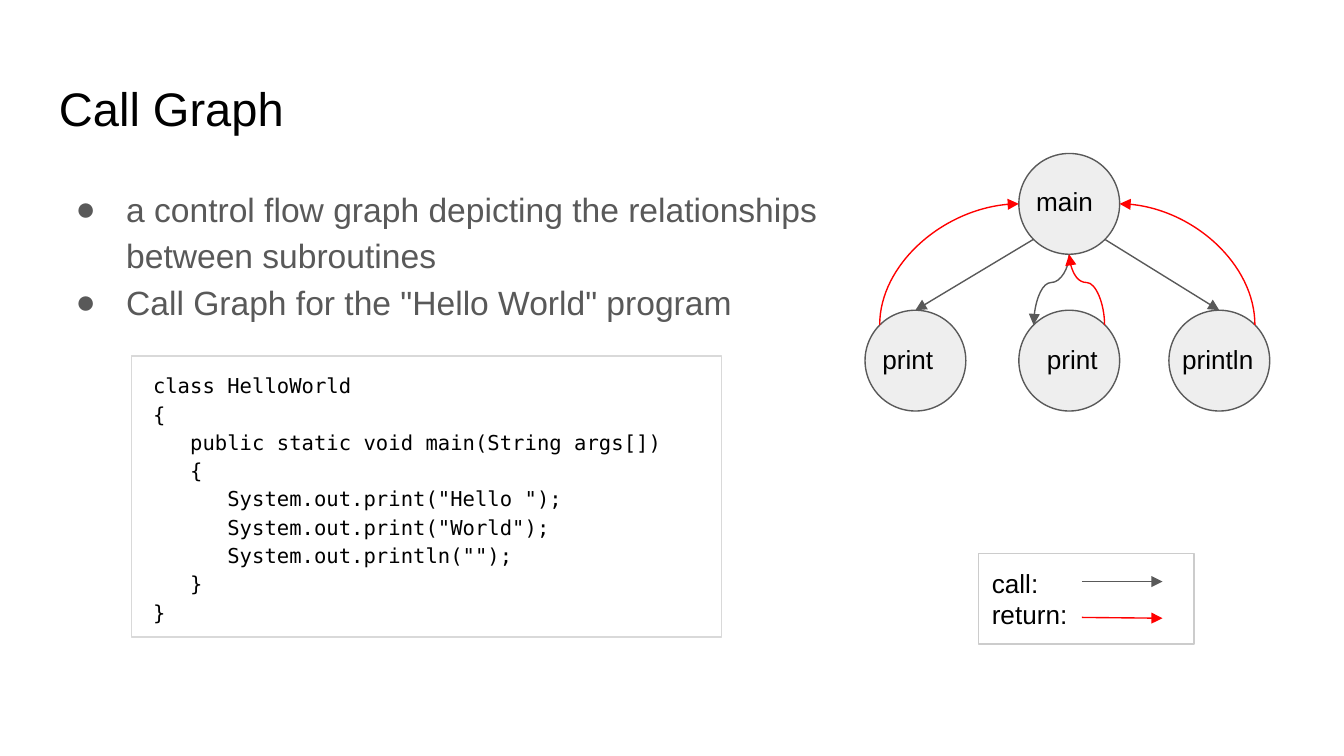
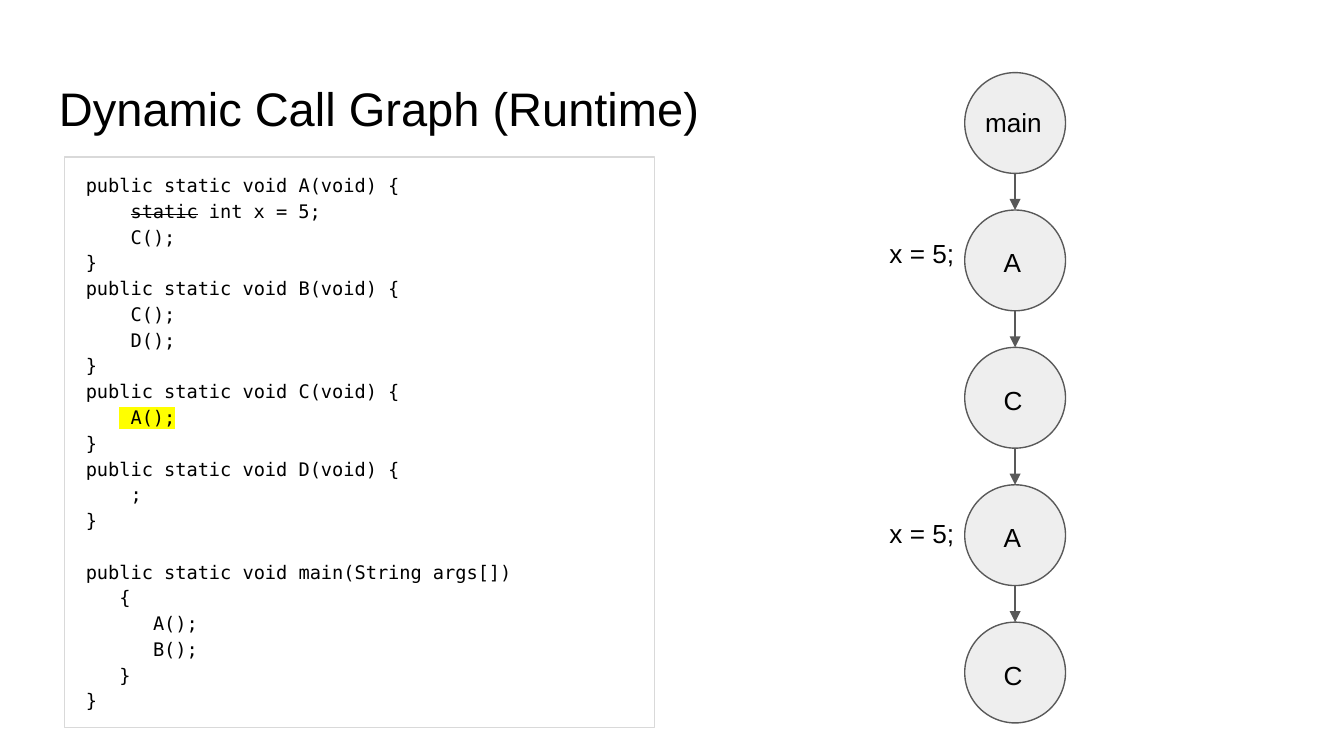
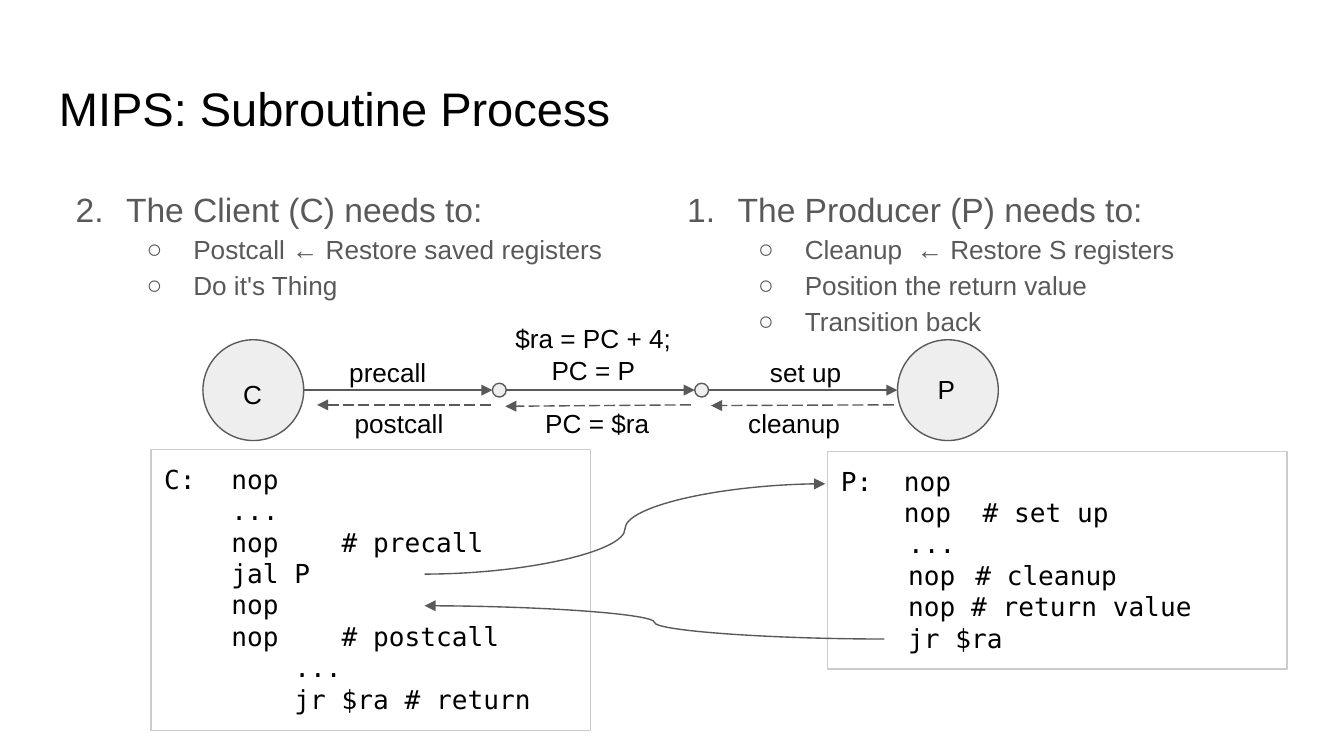
from dataclasses import dataclass

from lxml.etree import SubElement
from pptx import Presentation
from pptx.dml.color import RGBColor
from pptx.enum.dml import MSO_LINE
from pptx.enum.shapes import MSO_CONNECTOR, MSO_SHAPE
from pptx.enum.text import MSO_ANCHOR, PP_ALIGN
from pptx.oxml.ns import qn
from pptx.util import Pt


@dataclass(frozen=True)
class Theme:
    ink: str = "000000"
    muted: str = "595959"
    node: str = "EEEEEE"
    returning: str = "FF0000"
    code_border: str = "D9D9D9"
    box_border: str = "CCCCCC"
    marker: str = "FFFF00"
    sans: str = "Arial"
    mono: str = "DejaVu Sans Mono"
    title_size: float = 25.2
    body_size: float = 18
    label_size: float = 14
    line_width: float = 0.75
    code_spacing: float = 1.15
    code_margin: float = 4.3
    inset: float = 7.2
    node_size: float = 54


THEME = Theme()


def rgb(value):
    return RGBColor.from_string(value)


def add_run(paragraph, text, size, font, color, strike=False, highlight=None):
    run = paragraph.add_run()
    run.text = text
    run.font.size = Pt(size)
    run.font.name = font
    run.font.color.rgb = rgb(color)
    properties = run.font._element
    if strike:
        properties.set("strike", "sngStrike")
    if highlight:
        mark = properties.makeelement(qn("a:highlight"), {})
        SubElement(mark, qn("a:srgbClr"), val=highlight)
        properties.find(qn("a:latin")).addprevious(mark)


def write(frame, text, new=True, size=THEME.label_size, font=THEME.sans,
          color=THEME.ink, align=PP_ALIGN.LEFT, spacing=None, before=0,
          margin=0, indent=0, level=0, bullet=None, start=None):
    paragraph = frame.add_paragraph() if new else frame.paragraphs[0]
    paragraph.alignment = align
    paragraph.level = level
    paragraph.space_before = Pt(before)
    if spacing:
        paragraph.line_spacing = spacing
    properties = paragraph._p.get_or_add_pPr()
    properties.set("marL", str(Pt(margin)))
    properties.set("indent", str(Pt(indent)))
    if bullet or start:
        SubElement(SubElement(properties, qn("a:buClr")), qn("a:srgbClr"), val=color)
        SubElement(properties, qn("a:buFont"), typeface=font)
        if start:
            SubElement(properties, qn("a:buAutoNum"), type="arabicPeriod", startAt=str(start))
        else:
            SubElement(properties, qn("a:buChar"), char=bullet)
    pieces = [(text, {})] if isinstance(text, str) else text
    for piece, style in pieces:
        for index, line in enumerate(piece.split("\n")):
            if index:
                paragraph.add_line_break()
            add_run(paragraph, line, size, font, color, **style)


def prepare(frame, anchor=MSO_ANCHOR.TOP):
    frame.word_wrap = True
    frame.vertical_anchor = anchor
    frame.margin_left = frame.margin_right = Pt(THEME.inset)
    frame.margin_top = frame.margin_bottom = Pt(THEME.inset)
    return frame


def text_area(slide, left, top, width, height, anchor=MSO_ANCHOR.TOP):
    area = slide.shapes.add_textbox(Pt(left), Pt(top), Pt(width), Pt(height))
    return prepare(area.text_frame, anchor)


def label(slide, text, left, top, width=54, height=31.5, align=PP_ALIGN.LEFT):
    write(text_area(slide, left, top, width, height), text, new=False, align=align)


def title(slide, text):
    area = text_area(slide, 24.5, 35, 671, 45.1, MSO_ANCHOR.MIDDLE)
    write(area, text, new=False, size=THEME.title_size)


def bullets(slide, left, width, items):
    area = text_area(slide, left, 90.7, width, 269)
    for index, (text, level, marker) in enumerate(items):
        write(area, text, new=index > 0, color=THEME.muted, spacing=1.15, level=level,
              size=THEME.label_size if level else THEME.body_size,
              margin=72 if level else 36, indent=-25 if level else -27, **marker)


def outlined(slide, kind, left, top, width, height, border, fill=None):
    outline = slide.shapes.add_shape(kind, Pt(left), Pt(top), Pt(width), Pt(height))
    outline.shadow.inherit = False
    outline.line.color.rgb = rgb(border)
    outline.line.width = Pt(THEME.line_width)
    if fill:
        outline.fill.solid()
        outline.fill.fore_color.rgb = rgb(fill)
    else:
        outline.fill.background()
    return outline


def box(slide, left, top, width, height, lines, border=THEME.box_border, **style):
    panel = outlined(slide, MSO_SHAPE.RECTANGLE, left, top, width, height, border)
    frame = prepare(panel.text_frame)
    for index, (text, extra) in enumerate(lines):
        write(frame, text, new=index > 0, **{**style, **extra})


def code_box(slide, left, top, height, lines, size):
    box(slide, left, top, 316, height, lines, border=THEME.code_border, size=size,
        font=THEME.mono, spacing=THEME.code_spacing, margin=THEME.code_margin)


def circle(slide, left, top, size):
    outlined(slide, MSO_SHAPE.OVAL, left, top, size, size, THEME.muted, THEME.node)


def node(slide, name, left, top, shift, drop):
    circle(slide, left, top, THEME.node_size)
    label(slide, name, left + shift, top + drop)


def arrow(slide, start, end, color=THEME.muted, kind=MSO_CONNECTOR.STRAIGHT, dashed=False):
    link = slide.shapes.add_connector(kind, *(Pt(v) for v in (*start, *end)))
    link.line.color.rgb = rgb(color)
    link.line.width = Pt(THEME.line_width)
    if dashed:
        link.line.dash_style = MSO_LINE.LONG_DASH
    SubElement(link.line._get_or_add_ln(), qn("a:tailEnd"), type="triangle")
    SubElement(link._element.spPr, qn("a:effectLst"))
    return link


def upright_curve(slide, start, end, color, bend=None):
    dx, dy = end[0] - start[0], end[1] - start[1]
    center_x, center_y = start[0] + dx / 2, start[1] + dy / 2
    near, far = center_x - abs(dy) / 2, center_x + abs(dy) / 2
    if (dy < 0) != (dx > 0):
        near, far = far, near
    link = arrow(slide, (near, center_y - abs(dx) / 2), (far, center_y + abs(dx) / 2),
                 color, MSO_CONNECTOR.CURVE)
    properties = link._element.spPr
    turn = 270 if dx > 0 else 90
    properties.find(qn("a:xfrm")).set("rot", str(turn * 60000))
    geometry = properties.find(qn("a:prstGeom"))
    if bend is None:
        geometry.set("prst", "curvedConnector2")
    else:
        guides = geometry.find(qn("a:avLst"))
        if guides is None:
            guides = SubElement(geometry, qn("a:avLst"))
        SubElement(guides, qn("a:gd"), name="adj1", fmla=f"val {round(bend * 100000)}")


def plain(*lines):
    return [(line, {}) for line in lines]


def call_graph(slide):
    title(slide, "Call Graph")
    bullets(slide, 24.5, 671, [
        ("a control flow graph depicting the relationships \nbetween subroutines",
         0, {"bullet": "●"}),
        ('Call Graph for the "Hello World" program', 0, {"bullet": "●"}),
    ])
    node(slide, "main", 545.8, 82.2, 2.2, 10)
    for name, left, shift in (("print", 463.4, 2.2), ("print", 545.8, 7.9),
                              ("println", 626.2, 0)):
        node(slide, name, left, 166.2, shift, 10.8)

    arrow(slide, (553.7, 128.2), (490.4, 166.2))
    arrow(slide, (591.8, 128.2), (653.2, 166.2))
    upright_curve(slide, (572.8, 136.2), (553.7, 174.1), THEME.muted, bend=0.4)
    upright_curve(slide, (591.8, 174.1), (572.8, 136.2), THEME.returning, bend=0.6)
    upright_curve(slide, (471.3, 174.1), (545.8, 109.2), THEME.returning)
    upright_curve(slide, (672.3, 174.1), (599.8, 109.2), THEME.returning)

    code_box(slide, 70.6, 190.8, 150.5, plain(
        "class HelloWorld",
        "{",
        "   public static void main(String args[])",
        "   {",
        '      System.out.print("Hello ");',
        '      System.out.print("World");\n      System.out.println("");',
        "   }",
        "}"), size=11)

    box(slide, 524.2, 296.6, 115.5, 48.5, plain("call:", "return:"))
    arrow(slide, (579.6, 311.6), (622.8, 311.6))
    arrow(slide, (579.6, 330.8), (622.8, 331.2), THEME.returning)


def dynamic_call_graph(slide):
    title(slide, "Dynamic Call Graph (Runtime)")
    code_box(slide, 34.6, 84.2, 305.5, [
        *plain("public static void A(void) {"),
        ([("    ", {}), ("static", {"strike": True}), (" int x = 5;", {})], {}),
        *plain("    C();", "}",
               "public static void B(void) {", "    C();", "    D();", "}",
               "public static void C(void) {"),
        ([("   ", {}), (" A();", {"highlight": THEME.marker})], {}),
        *plain("}", "public static void D(void) {", "    ;", "}"),
        ("public static void main(String args[])", {"before": 13.8}),
        *plain("   {", "      A();", "      B();", "   }", "}"),
    ], size=10)

    left, first, step = 516.8, 38.9, 73.6
    for index, name in enumerate(("main", "A", "C", "A", "C")):
        top = first + index * step
        shift, drop = (3.8, 10.8) if name == "main" else (13.7, 12.5)
        node(slide, name, left, top, shift, drop)
        if index:
            middle = left + THEME.node_size / 2
            arrow(slide, (middle, top - step + THEME.node_size), (middle, top))
    for top in (120.2, 270):
        label(slide, "x = 5;", 469.4, top, width=51)


def subroutine_process(slide):
    title(slide, "MIPS: Subroutine Process")
    bullets(slide, 352.1, 341.3, [
        ("The Producer (P) needs to:", 0, {"start": 1}),
        ("Cleanup  ← Restore S registers", 1, {"bullet": "○"}),
        ("Position the return value", 1, {"bullet": "○"}),
        ("Transition back", 1, {"bullet": "○"}),
    ])
    bullets(slide, 24.5, 335.5, [
        ("The Client (C) needs to:", 0, {"start": 2}),
        ("Postcall ← Restore saved registers", 1, {"bullet": "○"}),
        ("Do it's Thing", 1, {"bullet": "○"}),
    ])
    node(slide, "C", 108.7, 182, 14.4, 13.7)
    node(slide, "P", 480.8, 182, 14.4, 11)
    for left in (263.8, 372.2):
        circle(slide, left, 205.3, 7.4)

    for start, end in ((162.7, 263.8), (271.2, 372.2), (379.6, 480.8)):
        arrow(slide, (start, 209), (end, 209))
    for start, end, drop in ((478.8, 380.9, 0.4), (370.1, 270.7, 0.8), (262.8, 169.9, 0)):
        arrow(slide, (start, 216.9), (end, 216.9 + drop), dashed=True)

    label(slide, "precall", 180, 183.6, 82)
    label(slide, "set up", 405.4, 183.6, 82)
    label(slide, "$ra = PC + 4;\nPC = P", 257.8, 165.7, 120.2, 48.2, PP_ALIGN.CENTER)
    label(slide, "postcall", 181.4, 211.2, 64.8, align=PP_ALIGN.CENTER)
    label(slide, "PC = $ra", 281.5, 211.2, 77, align=PP_ALIGN.CENTER)
    label(slide, "cleanup", 393.8, 211.2, 64.8)

    inner = {"indent": 36}
    box(slide, 80.9, 241, 235.5, 150.3, [
        ("C:\tnop\n\t...\n\tnop    # precall\n\tjal P\n\tnop\n\tnop    # postcall", {}),
        ("    ...", inner),
        ("    jr $ra # return", inner),
    ], font=THEME.mono)
    box(slide, 443.4, 242, 246.2, 116.4, [
        ("P:  nop\n    nop  # set up", {}),
        ("...", inner),
        ("nop \t# cleanup", inner),
        ("nop # return value", inner),
        ("jr $ra", inner),
    ], font=THEME.mono)
    arrow(slide, (227.5, 307.6), (442.1, 259.2), kind=MSO_CONNECTOR.CURVE)
    arrow(slide, (473.8, 342.4), (227.5, 324.6), kind=MSO_CONNECTOR.CURVE)


def main():
    deck = Presentation()
    deck.slide_width, deck.slide_height = Pt(720), Pt(405)
    for build in (call_graph, dynamic_call_graph, subroutine_process):
        build(deck.slides.add_slide(deck.slide_layouts[6]))
    deck.save("out.pptx")


if __name__ == "__main__":
    main()
